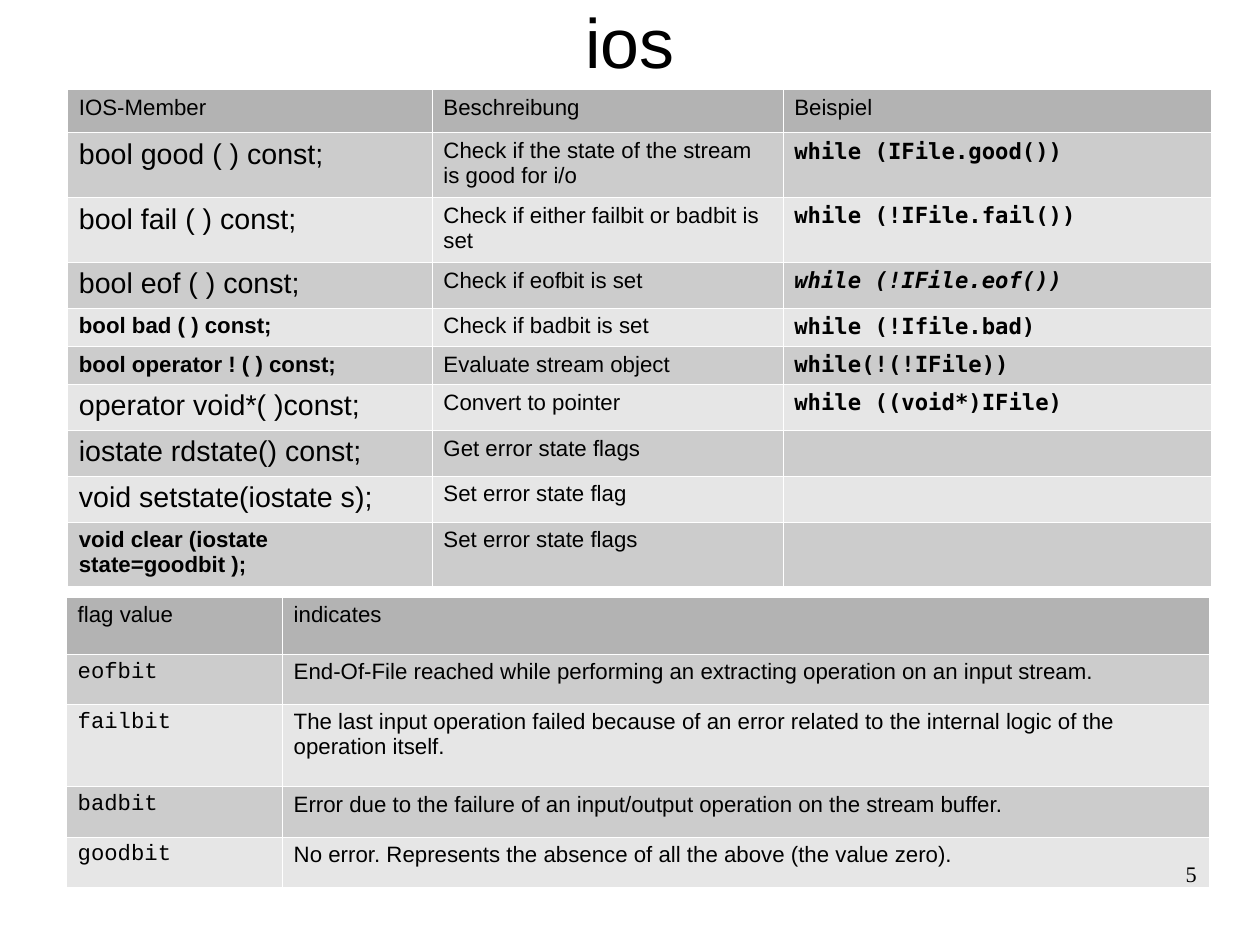
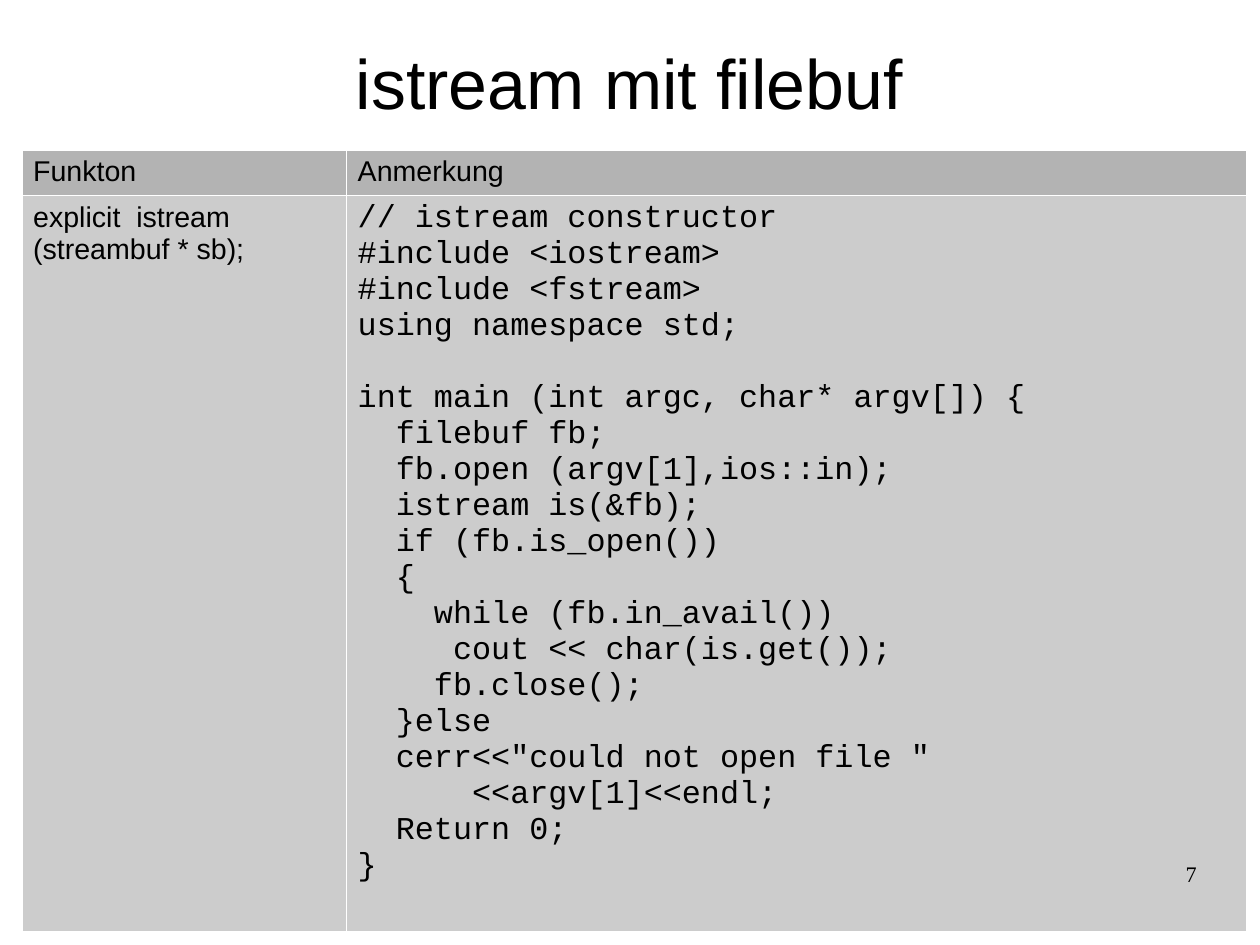
import dataclasses
import pptx
import pptx.dml.color
import pptx.enum.text
import pptx.oxml.ns
import pptx.util
from lxml import etree

Inches = pptx.util.Inches
Pt = pptx.util.Pt
Align = pptx.enum.text.PP_ALIGN
Anchor = pptx.enum.text.MSO_ANCHOR
qn = pptx.oxml.ns.qn


@dataclasses.dataclass(frozen=True)
class Font:
    name: str
    size: float
    bold: bool = False
    slant: bool = False


@dataclasses.dataclass(frozen=True)
class Theme:
    ink: str = "000000"
    rule: str = "FFFFFF"
    head: str = "B3B3B3"
    bands: tuple = ("CCCCCC", "E6E6E6")
    edge: int = 762
    title: Font = Font("Arial", 44)
    page: Font = Font("Times New Roman", 14)
    body: Font = Font("Arial", 14)
    large: Font = Font("Arial", 18)
    strong: Font = Font("Arial", 14, True)
    code: Font = Font("DejaVu Sans Mono", 14, True)
    tilt: Font = Font("DejaVu Sans Mono", 14, True, True)
    flag: Font = Font("Courier New", 14)
    block: Font = Font("Courier New", 20)
    gap: float = 22.65


THEME = Theme()
WIDE = 28 / 2.54
HIGH = 21 / 2.54
FOOT = (7.9, 7.53, 2.57, 0.57)

CALLS = [
    ("bool good ( ) const;", THEME.large, 0.54,
     "Check if the state of the stream is good for i/o",
     "while (IFile.good())", THEME.code),
    ("bool fail ( ) const;", THEME.large, 0.54,
     "Check if either failbit or badbit is set",
     "while (!IFile.fail())", THEME.code),
    ("bool eof ( ) const;", THEME.large, 0.38,
     "Check if eofbit is set", "while (!IFile.eof())", THEME.tilt),
    ("bool bad ( ) const;", THEME.strong, 0.32,
     "Check if badbit is set", "while (!Ifile.bad)", THEME.code),
    ("bool operator ! ( ) const;", THEME.strong, 0.32,
     "Evaluate stream object", "while(!(!IFile))", THEME.code),
    ("operator void*( )const;", THEME.large, 0.38,
     "Convert to pointer", "while ((void*)IFile)", THEME.code),
    ("iostate rdstate() const;", THEME.large, 0.38,
     "Get error state flags", "", THEME.code),
    ("void setstate(iostate s);", THEME.large, 0.38,
     "Set error state flag", "", THEME.code),
    ("void clear (iostate state=goodbit );", THEME.strong, 0.54,
     "Set error state flags", "", THEME.code),
]

FLAGS = [
    ("eofbit", 0.44, "End-Of-File reached while performing an extracting "
     "operation on an input stream."),
    ("failbit", 0.72, "The last input operation failed because of an error "
     "related to the internal logic of the operation itself."),
    ("badbit", 0.44, "Error due to the failure of an input/output operation "
     "on the stream buffer."),
    ("goodbit", 0.44, "No error. Represents the absence of all the above "
     "(the value zero)."),
]

SETUP = """// istream constructor
#include <iostream>
#include <fstream>
using namespace std;"""

MAIN = """int main (int argc, char* argv[]) {
  filebuf fb;
  fb.open (argv[1],ios::in);
  istream is(&fb);
  if (fb.is_open())
  {
    while (fb.in_avail())
     cout << char(is.get());
    fb.close();
  }else
  cerr<<"could not open file "
      <<argv[1]<<endl;
  Return 0;
}"""


def tint(code):
    return pptx.dml.color.RGBColor.from_string(code)


def style(frame, look, align=Align.LEFT):
    for para in frame.paragraphs:
        para.alignment = align
        for run in para.runs:
            font = run.font
            font.name = look.name
            font.size = Pt(look.size)
            font.bold = look.bold
            font.italic = look.slant
            font.color.rgb = tint(THEME.ink)


def label(slide, box, text, look, align, anchor):
    frame = slide.shapes.add_textbox(*map(Inches, box)).text_frame
    frame.word_wrap = True
    frame.margin_left = frame.margin_right = 0
    frame.margin_top = frame.margin_bottom = 0
    frame.vertical_anchor = anchor
    frame.text = text
    style(frame, look, align)


def border(cell):
    props = cell._tc.get_or_add_tcPr()
    for side in ("a:lnL", "a:lnR", "a:lnT", "a:lnB"):
        line = etree.SubElement(props, qn(side), w=str(THEME.edge))
        fill = etree.SubElement(line, qn("a:solidFill"))
        etree.SubElement(fill, qn("a:srgbClr"), val=THEME.rule)


def grid(slide, box, cols, rows):
    left, top, width, height = box
    table = slide.shapes.add_table(
        len(rows), len(cols) + 1, *map(Inches, box)).table
    table.horz_banding = False
    for col, size in zip(table.columns, [*cols, width - sum(cols)]):
        col.width = Inches(size)
    for r, (size, cells) in enumerate(rows):
        table.rows[r].height = Inches(size)
        shade = THEME.bands[(r - 1) % 2] if r else THEME.head
        for c, (text, look) in enumerate(cells):
            cell = table.cell(r, c)
            cell.margin_left = cell.margin_right = Inches(0.1)
            cell.margin_top = cell.margin_bottom = Inches(0.05)
            border(cell)
            cell.fill.solid()
            cell.fill.fore_color.rgb = tint(shade)
            if text:
                cell.text_frame.text = text
                style(cell.text_frame, look)
    return table


def header(size, look, *names):
    return size, [(name, look) for name in names]


def calls(slide, box):
    rows = [header(0.38, THEME.body, "IOS-Member", "Beschreibung", "Beispiel")]
    rows += [(size, [(name, look), (note, THEME.body), (code, font)])
             for name, look, size, note, code, font in CALLS]
    grid(slide, box, [3.19, 3.07], rows)


def flags(slide, box):
    rows = [header(0.5, THEME.body, "flag value", "indicates")]
    rows += [(size, [(name, THEME.flag), (note, THEME.body)])
             for name, size, note in FLAGS]
    grid(slide, box, [1.89], rows)


def sample(slide, box):
    rows = [header(0.38, THEME.large, "Funkton", "Anmerkung"),
            (6.44, [("explicit  istream (streambuf * sb);", THEME.large),
                    (SETUP + "\n" + MAIN, THEME.block)])]
    table = grid(slide, box, [2.84], rows)
    start = len(SETUP.splitlines())
    para = table.cell(1, 1).text_frame.paragraphs[start]
    para.space_before = Pt(THEME.gap)


def page(deck, title, box, number, parts):
    slide = deck.slides.add_slide(deck.slide_layouts[6])
    label(slide, box, title, THEME.title, Align.CENTER, Anchor.MIDDLE)
    for draw, place in parts:
        draw(slide, place)
    label(slide, FOOT, number, THEME.page, Align.RIGHT, Anchor.TOP)


def main():
    deck = pptx.Presentation()
    deck.slide_width = Inches(WIDE)
    deck.slide_height = Inches(HIGH)
    page(deck, "ios", (0.55, 0, 9.92, 0.71), "5",
         [(calls, (0.59, 0.78, 10.01, 4.18)),
          (flags, (0.58, 5.22, 10, 2.54))])
    page(deck, "istream mit filebuf", (0.55, 0.33, 9.92, 0.77), "7",
         [(sample, (0.19, 1.31, 10.71, 6.82))])
    deck.save("out.pptx")


if __name__ == "__main__":
    main()
